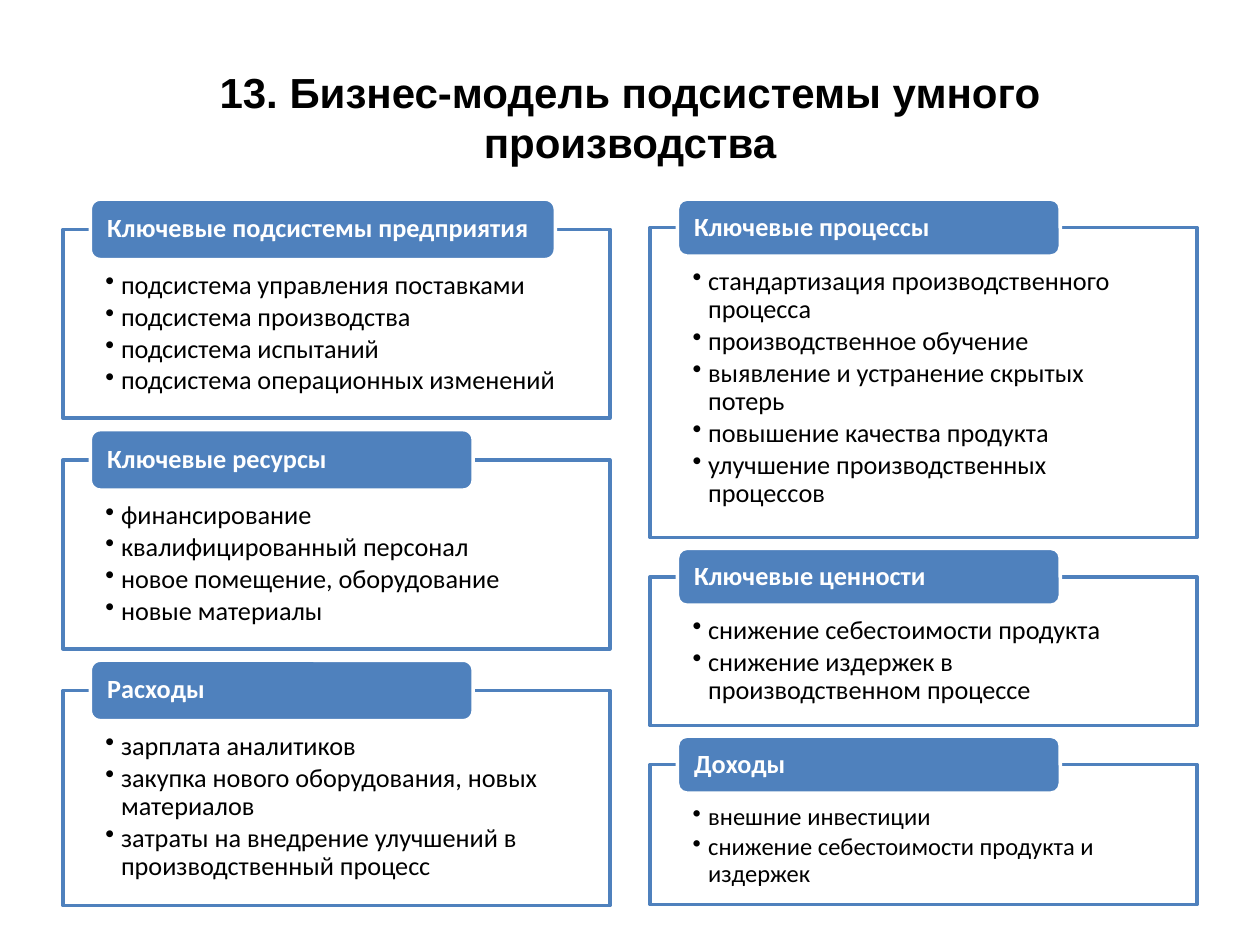
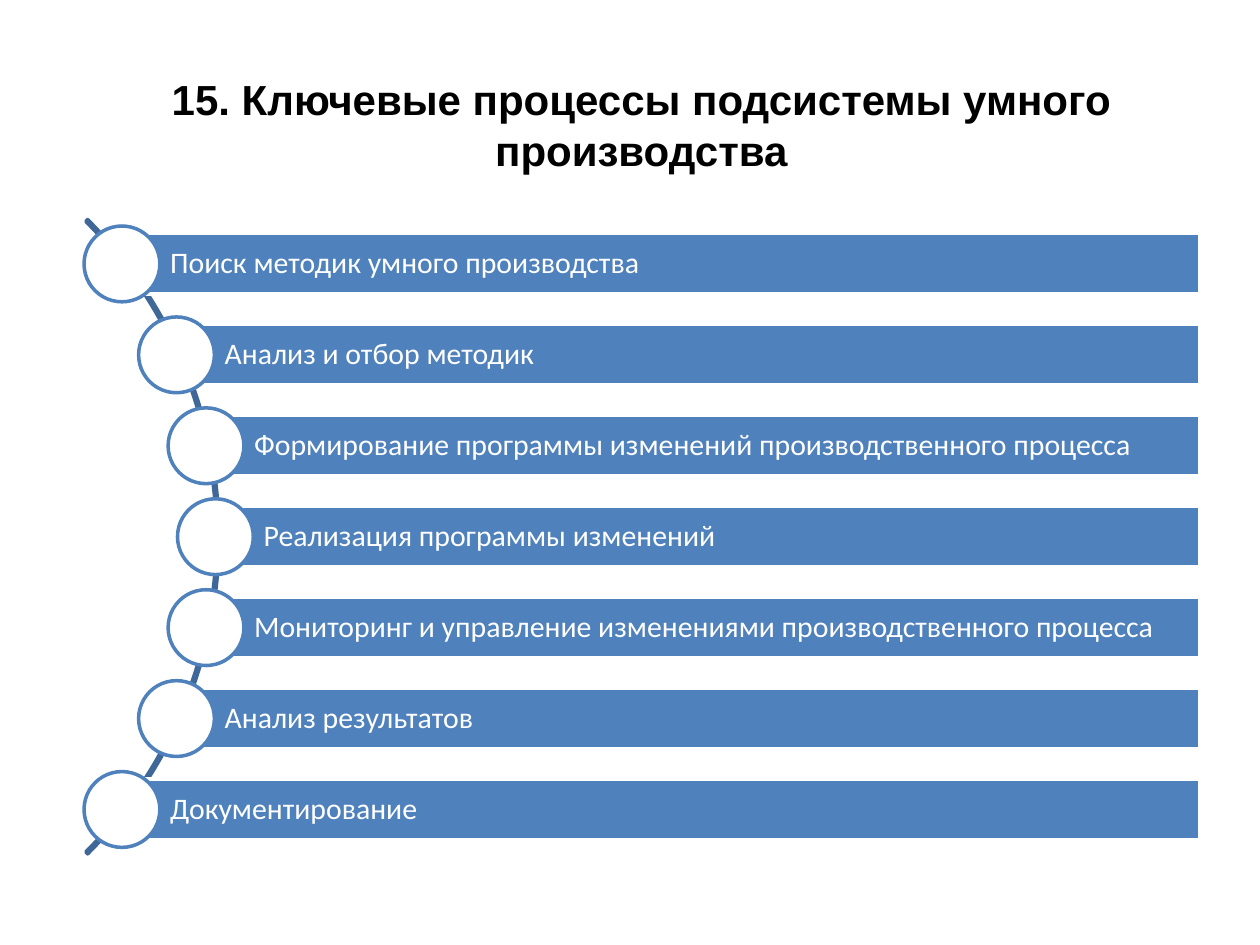
from math import sqrt

from lxml.etree import SubElement
from pptx import Presentation
from pptx.dml.color import RGBColor
from pptx.enum.shapes import MSO_SHAPE
from pptx.enum.text import MSO_ANCHOR, PP_ALIGN
from pptx.oxml.ns import qn
from pptx.util import Pt

BLUE = RGBColor(0x4F, 0x81, 0xBD)
DARK_BLUE = RGBColor(0x3F, 0x67, 0x97)
WHITE = RGBColor(0xFF, 0xFF, 0xFF)
BLACK = RGBColor(0x00, 0x00, 0x00)

TITLE_FONT = "Arial"
BODY_FONT = "Calibri"
LINE_WIDTH = 2
BULLET_INDENT = 8.9

LEFT_PANELS = [
    ("Ключевые подсистемы предприятия", 265.7, 108, 15, [
        "подсистема управления поставками",
        "подсистема производства",
        "подсистема испытаний",
        "подсистема операционных изменений",
    ]),
    ("Ключевые ресурсы", 218.75, 108, 15, [
        "финансирование",
        "квалифицированный персонал",
        "новое помещение, оборудование",
        "новые материалы",
    ]),
    ("Расходы", 218.75, 123, 15, [
        "зарплата аналитиков",
        "закупка нового оборудования, новых материалов",
        "затраты на внедрение улучшений в производственный процесс",
    ]),
]
RIGHT_PANELS = [
    ("Ключевые процессы", 218.75, 177.2, 15, [
        "стандартизация производственного процесса",
        "производственное обучение",
        "выявление и устранение скрытых потерь",
        "повышение качества продукта",
        "улучшение производственных процессов",
    ]),
    ("Ключевые ценности", 218.75, 85, 15, [
        "снижение себестоимости продукта",
        "снижение издержек в производственном процессе",
    ]),
    ("Доходы", 218.75, 80, 14, [
        "внешние инвестиции",
        "снижение себестоимости продукта и издержек",
    ]),
]
PROCESS_STEPS = [
    "Поиск методик умного производства",
    "Анализ и отбор методик",
    "Формирование программы изменений производственного процесса",
    "Реализация программы изменений",
    "Мониторинг и управление изменениями производственного процесса",
    "Анализ результатов",
    "Документирование",
]


def add_titled_slide(presentation, title, left, top):
    slide = presentation.slides.add_slide(presentation.slide_layouts[5])
    shape = slide.shapes.title
    shape.left, shape.top, shape.width, shape.height = Pt(left), Pt(top), Pt(648), Pt(90)
    shape.text_frame.text = title
    shape.text_frame.vertical_anchor = MSO_ANCHOR.MIDDLE
    paragraph = shape.text_frame.paragraphs[0]
    paragraph.alignment = PP_ALIGN.CENTER
    format_runs(paragraph, TITLE_FONT, 24, BLACK, True)
    return slide


def format_runs(paragraph, font_name, size, color, bold=False):
    for run in paragraph.runs:
        run.font.name = font_name
        run.font.size = Pt(size)
        run.font.color.rgb = color
        run.font.bold = bold


def add_figure(slide, kind, left, top, width, height, fill, line):
    shape = slide.shapes.add_shape(kind, Pt(left), Pt(top), Pt(width), Pt(height))
    shape.shadow.inherit = False
    if fill is None:
        shape.fill.background()
    else:
        shape.fill.solid()
        shape.fill.fore_color.rgb = fill
    shape.line.color.rgb = line
    shape.line.width = Pt(LINE_WIDTH)
    return shape


def write_text(shape, lines, insets, anchor, size, color, bold=False):
    frame = shape.text_frame
    frame.word_wrap = True
    frame.vertical_anchor = anchor
    frame.margin_left, frame.margin_top, frame.margin_right, frame.margin_bottom = map(Pt, insets)
    frame.text = "\n".join(lines)
    for paragraph in frame.paragraphs:
        paragraph.alignment = PP_ALIGN.LEFT
        paragraph.line_spacing = 0.9
        format_runs(paragraph, BODY_FONT, size, color, bold)


def add_bullets(shape):
    for paragraph in shape.text_frame.paragraphs:
        paragraph.space_after = Pt(2)
        properties = paragraph._p.get_or_add_pPr()
        properties.set("marL", str(Pt(BULLET_INDENT)))
        properties.set("indent", str(-Pt(BULLET_INDENT)))
        SubElement(properties, qn("a:buChar"), char="•")


def add_panel_column(slide, left, top, width, tab_height, gap, panels):
    for heading, tab_width, height, size, items in panels:
        panel_top = top + tab_height / 2
        panel = add_figure(slide, MSO_SHAPE.RECTANGLE, left, panel_top, width, height, WHITE, BLUE)
        write_text(panel, items, (24.3, 0.7 * tab_height, 24.3, 8), MSO_ANCHOR.TOP, size, BLACK)
        add_bullets(panel)
        tab = add_figure(slide, MSO_SHAPE.ROUNDED_RECTANGLE, left + 0.05 * width, top,
                         tab_width, tab_height, BLUE, WHITE)
        write_text(tab, [heading], (8, 0, 8, 0), MSO_ANCHOR.MIDDLE, 15, WHITE, True)
        top = panel_top + height + gap


def add_process_arc(slide, left, top, diameter, right, steps):
    bar_height, circle_size, pitch = 34.6, 43.3, 51.96
    center_x, center_y = left + diameter / 2, top + diameter / 2
    radius = diameter / 2 - 2.1
    arc = add_figure(slide, MSO_SHAPE.BLOCK_ARC, left, top, diameter, diameter, None, DARK_BLUE)
    for index, value in enumerate((189, 27, 0.003)):
        arc.adjustments[index] = value
    for index, step in enumerate(steps):
        offset = (index - (len(steps) - 1) / 2) * pitch
        x = center_x + sqrt(radius ** 2 - offset ** 2)
        y = center_y + offset
        bar = add_figure(slide, MSO_SHAPE.RECTANGLE, x, y - bar_height / 2,
                         right - x, bar_height, BLUE, WHITE)
        write_text(bar, [step], (27.5, 3.6, 3.6, 3.6), MSO_ANCHOR.MIDDLE, 17, WHITE)
        add_figure(slide, MSO_SHAPE.OVAL, x - circle_size / 2, y - circle_size / 2,
                   circle_size, circle_size, WHITE, BLUE)


def main():
    presentation = Presentation()
    presentation.slide_width, presentation.slide_height = Pt(720), Pt(540)

    slide = add_titled_slide(presentation, "13. Бизнес-модель подсистемы умного производства", 36, 21.6)
    add_panel_column(slide, 36, 113.8, 312.5, 34.5, 6.5, LEFT_PANELS)
    add_panel_column(slide, 371.5, 113.8, 312.5, 32.5, 6.1, RIGHT_PANELS)

    slide = add_titled_slide(presentation, "15. Ключевые процессы подсистемы умного производства", 42.5, 26)
    add_process_arc(slide, -387.4, 50.4, 512.6, 685.4, PROCESS_STEPS)

    presentation.save("out.pptx")


if __name__ == "__main__":
    main()
